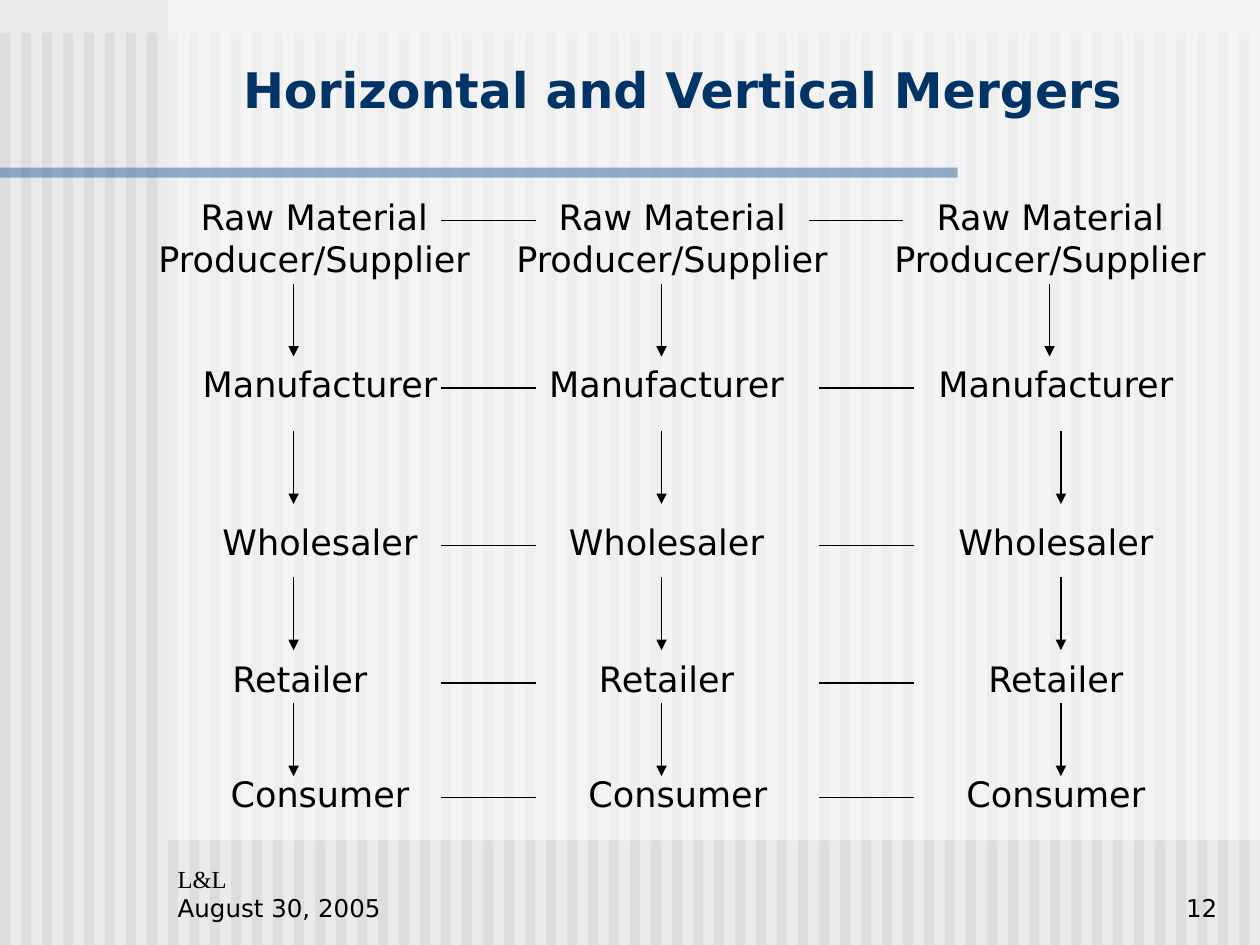
import pptx
import pptx.dml.color
import pptx.enum.shapes
import pptx.enum.text
import pptx.oxml
import pptx.oxml.ns
import pptx.util

Inches = pptx.util.Inches
ALIGN = pptx.enum.text.PP_ALIGN
ANCHOR = pptx.enum.text.MSO_ANCHOR
GROW = pptx.enum.text.MSO_AUTO_SIZE.SHAPE_TO_FIT_TEXT

THEME = {
    "paper": "EAEAEA", "stripe": "DDDDDD", "panel": "FFFFFF", "rule": "336699",
    "heading": "003366", "ink": "000000",
    "sans": "DejaVu Sans", "serif": "Times New Roman",
    "title_size": 28, "label_size": 20, "footer_size": 14, "line_width": 0.75,
}

TITLE = "Horizontal and Vertical Mergers"
STAGES = [
    {"name": "Raw Material Producer/Supplier", "top": 1.5, "width": 2.83, "height": 0.77,
     "lefts": (1.08, 3.92, 6.92), "link_y": 1.75, "links": (3.5, 6.42)},
    {"name": "Manufacturer", "top": 2.83, "lefts": (1.33, 4.08, 7.17)},
    {"name": "Wholesaler", "top": 4.08, "lefts": (1.33, 4.08, 7.17)},
    {"name": "Retailer", "top": 5.17, "lefts": (1.17, 4.08, 7.17)},
    {"name": "Consumer", "top": 6.08, "lefts": (1.33, 4.17, 7.17)},
]
STAGE_DEFAULTS = {"width": 2.42, "height": 0.44, "links": (3.5, 6.5)}
ARROWS = [
    (2.25, (2.33, 5.25, 8.33)),
    (3.42, (2.33, 5.25, 8.42)),
    (4.58, (2.33, 5.25, 8.42)),
    (5.58, (2.33, 5.25, 8.42)),
]
ARROW_LENGTH, LINK_LENGTH, LINK_DROP = 0.58, 0.75, 0.25
STRIPE_COUNT, STRIPE_PITCH = 60, 1 / 6

FOOTERS = [
    {"at": (1.26, 6.88, 2.08, 0.49), "align": ALIGN.LEFT, "margin_left": 0.15,
     "lines": [("L&L", "serif"), ("August 30, 2005", "sans")]},
    {"at": (7.68, 6.88, 2.08, 0.49), "align": ALIGN.RIGHT, "margin_left": 0.1,
     "lines": [("12", "sans")]},
]


def color(name):
    return pptx.dml.color.RGBColor.from_string(THEME[name])


def add_xml(parent, tag, **attributes):
    child = pptx.oxml.parse_xml(f"<a:{tag} {pptx.oxml.ns.nsdecls('a')}/>")
    for name, value in attributes.items():
        child.set(name, value)
    parent.append(child)


def add_block(page, at, fill, alpha=None):
    block = page.shapes.add_shape(
        pptx.enum.shapes.MSO_SHAPE.RECTANGLE, *map(Inches, at))
    block.shadow.inherit = False
    block.fill.solid()
    block.fill.fore_color.rgb = color(fill)
    block.line.fill.background()
    if alpha:
        tint = block.element.spPr.find(".//" + pptx.oxml.ns.qn("a:srgbClr"))
        add_xml(tint, "alpha", val=str(alpha * 1000))


def add_line(page, x, y, dx=0, dy=0, arrow=False):
    line = page.shapes.add_connector(
        pptx.enum.shapes.MSO_CONNECTOR.STRAIGHT, *map(Inches, (x, y, x + dx, y + dy)))
    line.line.width = pptx.util.Pt(THEME["line_width"])
    line.line.color.rgb = color("ink")
    if arrow:
        add_xml(line.line._get_or_add_ln(), "tailEnd", type="triangle")
    add_xml(line.element.spPr, "effectLst")


def set_format(target, values):
    for name, value in values.items():
        setattr(target, name, value)


def write(box, lines, align, size, ink="ink", bold=False, **frame_format):
    frame = box.text_frame
    set_format(frame, {
        "word_wrap": True,
        "margin_left": Inches(0.1), "margin_right": Inches(0.1),
        "margin_top": Inches(0.05), "margin_bottom": Inches(0.05),
        **frame_format,
    })
    for index, (text, face) in enumerate(lines):
        para = frame.add_paragraph() if index else frame.paragraphs[0]
        para.alignment = align
        span = para.add_run()
        span.text = text
        set_format(span.font, {
            "name": THEME[face], "size": pptx.util.Pt(THEME[size]), "bold": bold})
        span.font.color.rgb = color(ink)


def add_backdrop(page):
    page.background.fill.solid()
    page.background.fill.fore_color.rgb = color("paper")
    for index in range(STRIPE_COUNT):
        add_block(page, (index * STRIPE_PITCH, 0.26, 0.08, 7.24), "stripe")
    add_block(page, (1.33, 0, 8.67, 6.67), "panel", alpha=50)
    add_block(page, (0, 1.33, 7.6, 0.08), "rule", alpha=50)


def add_title(page):
    title = page.shapes.title
    title.element.getparent().append(title.element)
    set_format(title, {"left": Inches(1.75), "top": Inches(0.42),
                       "width": Inches(7.33), "height": Inches(0.57)})
    write(title, [(TITLE, "sans")], ALIGN.CENTER, "title_size", "heading", True,
          vertical_anchor=ANCHOR.TOP, auto_size=GROW)


def add_footers(page):
    for footer in FOOTERS:
        box = page.shapes.add_textbox(*map(Inches, footer["at"]))
        write(box, footer["lines"], footer["align"], "footer_size",
              vertical_anchor=ANCHOR.BOTTOM, margin_left=Inches(footer["margin_left"]))


def add_chain(page):
    for entry in STAGES:
        stage = {**STAGE_DEFAULTS, "link_y": entry["top"] + LINK_DROP, **entry}
        for left in stage["lefts"]:
            box = page.shapes.add_textbox(
                *map(Inches, (left, stage["top"], stage["width"], stage["height"])))
            write(box, [(stage["name"], "sans")], ALIGN.CENTER, "label_size", auto_size=GROW)
        for x in stage["links"]:
            add_line(page, x, stage["link_y"], dx=LINK_LENGTH)
    for top, columns in ARROWS:
        for x in columns:
            add_line(page, x, top, dy=ARROW_LENGTH, arrow=True)


def main():
    deck = pptx.Presentation()
    set_format(deck, {"slide_width": Inches(10), "slide_height": Inches(7.5)})
    page = deck.slides.add_slide(deck.slide_layouts.get_by_name("Title Only"))
    add_backdrop(page)
    add_footers(page)
    add_title(page)
    add_chain(page)
    deck.save("out.pptx")


if __name__ == "__main__":
    main()
